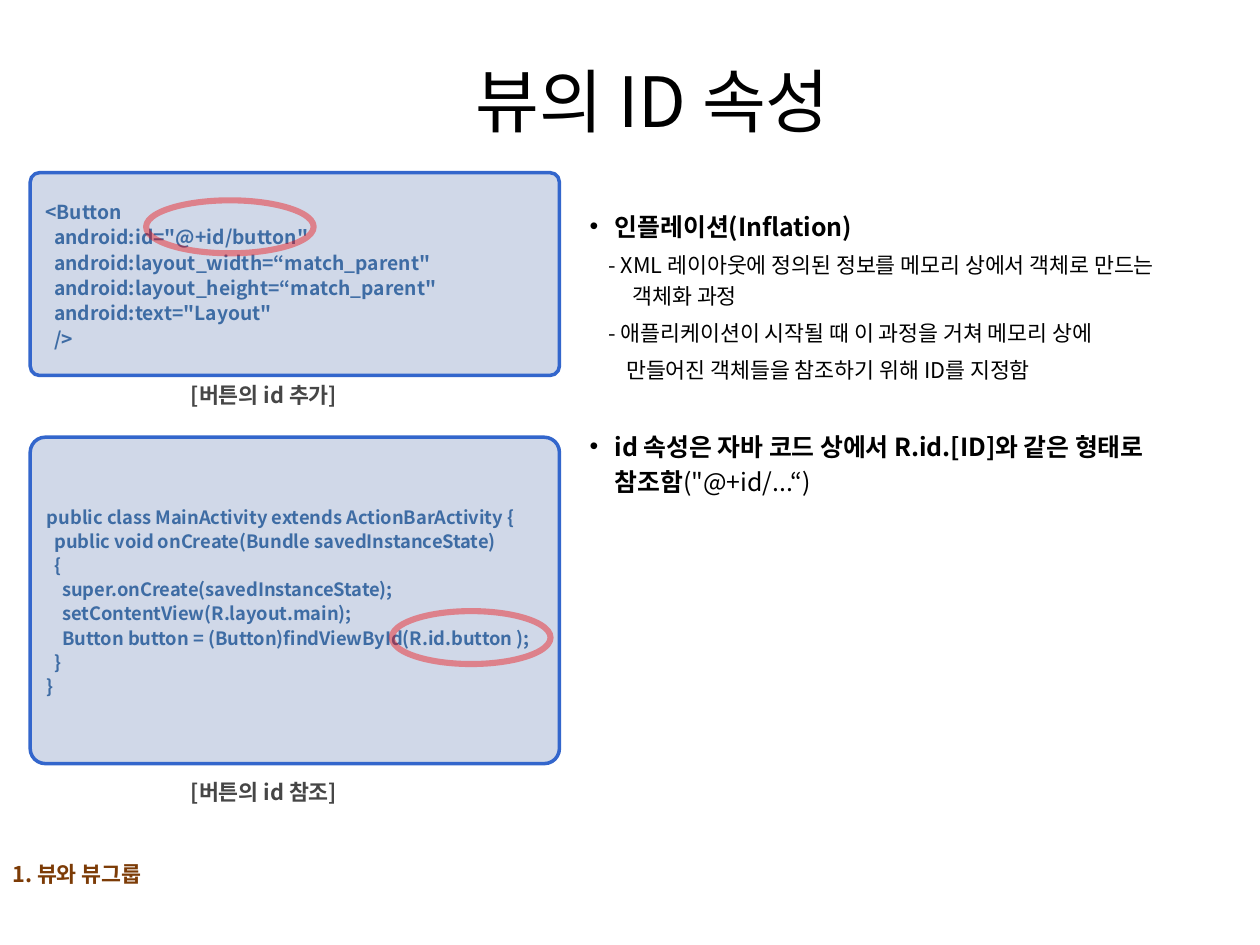
from lxml import etree
from pptx import Presentation
from pptx.dml.color import RGBColor
from pptx.enum.shapes import MSO_SHAPE
from pptx.enum.text import MSO_ANCHOR, MSO_AUTO_SIZE, PP_ALIGN
from pptx.oxml.ns import qn
from pptx.util import Inches, Pt

ROUNDED, OVAL = MSO_SHAPE.ROUNDED_RECTANGLE, MSO_SHAPE.OVAL
MIDDLE, TOP = MSO_ANCHOR.MIDDLE, MSO_ANCHOR.TOP
NO_FIT = MSO_AUTO_SIZE.NONE
LEFT, CENTER = PP_ALIGN.LEFT, PP_ALIGN.CENTER
FONT = "Noto Sans CJK KR"
COLORS = {
    "text": "000000",
    "panel": "D0D8E8",
    "border": "3366CC",
    "code": "3E6CA4",
    "ring": "F20000",
    "caption": "464646",
    "footer": "7C3B06",
}
LAYOUT_CODE = [
    (0, "<Button"),
    (1, 'android:id="@+id/button"'),
    (1, 'android:layout_width=“match_parent"'),
    (1, 'android:layout_height=“match_parent"'),
    (1, 'android:text="Layout"'),
    (1, "/>"),
]
JAVA_CODE = [
    (0, "public class MainActivity extends ActionBarActivity {"),
    (1, "public void onCreate(Bundle savedInstanceState)"),
    (1, "{"),
    (2, "super.onCreate(savedInstanceState);"),
    (2, "setContentView(R.layout.main);"),
    (2, "Button button = (Button)findViewById(R.id.button );"),
    (1, "}"),
    (0, "}"),
]
NOTES = [
    (True, 0.2, -0.2, 3.2, ["인플레이션(Inflation)"]),
    (False, 0.34, -0.19, 3.2,
     ["- XML 레이아웃에 정의된 정보를 메모리 상에서 객체로 만드는\v객체화 과정"]),
    (False, 0.29, -0.14, 3.2,
     ["- 애플리케이션이 시작될 때 이 과정을 거쳐 메모리 상에"]),
    (False, 0.29, 0, 3.2, ["만들어진 객체들을 참조하기 위해 ID를 지정함"]),
    (True, 0.2, -0.2, 24.5,
     ["id 속성은 자바 코드 상에서 R.id.[ID]와 같은 형태로\v참조함", '("@+id/...“)']),
]


def color(name):
    """Return a named colour."""
    return RGBColor.from_string(COLORS[name])


def style(span, size, ink, bold):
    """Format a run for Latin and Korean text."""
    font = span.font
    font.size, font.bold, font.name = Pt(size), bold, FONT
    font.color.rgb = color(ink)
    etree.SubElement(span._r.get_or_add_rPr(), qn("a:ea")).set("typeface", FONT)


def style_para(para, size, ink, bold):
    """Format every run of a paragraph."""
    for span in para.runs:
        style(span, size, ink, bold)


def indent(para, margin, first=0):
    """Set the left margin and first-line indent of a paragraph."""
    properties = para._p.get_or_add_pPr()
    properties.set("marL", str(Inches(margin)))
    properties.set("indent", str(Inches(first)))


def place(shape, box):
    """Move a shape to a box given in inches."""
    shape.left, shape.top, shape.width, shape.height = map(Inches, box)


def add_title(page, box):
    """Fill the title placeholder."""
    title = page.shapes.title
    place(title, box)
    frame = title.text_frame
    frame.text = "뷰의 ID 속성"
    frame.auto_size, frame.vertical_anchor = NO_FIT, MIDDLE
    para = frame.paragraphs[0]
    para.alignment = CENTER
    style_para(para, 39.6, "text", False)


def add_notes(page, box):
    """Fill the body placeholder with headings and details."""
    body = page.placeholders[1]
    place(body, box)
    frame = body.text_frame
    frame.text = "\n".join(parts[0] for *_, parts in NOTES)
    frame.auto_size, frame.vertical_anchor = NO_FIT, TOP
    for para, (heading, margin, first, gap, parts) in zip(frame.paragraphs, NOTES):
        para.line_spacing, para.space_before = 1.2, Pt(gap)
        indent(para, margin, first)
        style_para(para, 14.2 if heading else 12.4, "text", heading)
        if not heading:
            etree.SubElement(para._p.get_or_add_pPr(), qn("a:buNone"))
        for part in parts[1:]:
            span = para.add_run()
            span.text = part
            style(span, 14.2, "text", False)


def add_label(page, box, text, ink, align, spacing=1.0):
    """Add a bold line of text."""
    frame = page.shapes.add_textbox(*map(Inches, box)).text_frame
    frame.word_wrap = True
    frame.text = text
    para = frame.paragraphs[0]
    para.alignment, para.line_spacing = align, spacing
    style_para(para, 12.4, ink, True)


def add_ring(page, box):
    """Add a translucent ellipse outline."""
    ring = page.shapes.add_shape(OVAL, *map(Inches, box))
    ring.shadow.inherit = False
    ring.fill.background()
    ring.line.color.rgb = color("ring")
    ring.line.width = Pt(3.5)
    ink = ring.line._ln.find(".//" + qn("a:srgbClr"))
    etree.SubElement(ink, qn("a:alpha")).set("val", "40000")


def add_code(page, box, lines, size, step, ring, caption, caption_gap):
    """Add a code panel with its highlight ring and caption."""
    left, top, _, height = box
    panel = page.shapes.add_shape(ROUNDED, *map(Inches, box))
    panel.adjustments[0] = 0.046
    panel.shadow.inherit = False
    panel.fill.solid()
    panel.fill.fore_color.rgb = color("panel")
    panel.line.color.rgb = color("border")
    panel.line.width = Pt(2)
    frame = panel.text_frame
    frame.word_wrap, frame.vertical_anchor = True, MIDDLE
    frame.text = "\n".join(text for _, text in lines)
    for para, (level, _) in zip(frame.paragraphs, lines):
        para.alignment, para.line_spacing = LEFT, 1.1
        indent(para, level * step)
        style_para(para, size, "code", True)
    across, down, ring_width = ring
    add_ring(page, (left + across, top + down, ring_width, 0.42))
    add_label(page, (left + 1.05, top + height + caption_gap, 1.61, 0.31),
              caption, "caption", CENTER)


def main():
    """Build and save the slide."""
    deck = Presentation()
    deck.slide_width, deck.slide_height = Inches(10), Inches(7.5)
    page = deck.slides.add_slide(deck.slide_layouts[1])
    add_title(page, (0.81, 0.61, 8.74, 0.36))
    add_notes(page, (4.58, 1.58, 5.32, 4.97))
    add_code(page, (0.24, 1.37, 4.2, 1.61), LAYOUT_CODE, 11, 0.07,
             (0.92, 0.22, 1.33), "[버튼의 id 추가]", 0)
    add_code(page, (0.24, 3.47, 4.2, 2.59), JAVA_CODE, 10.5, 0.06,
             (2.87, 1.38, 1.26), "[버튼의 id 참조]", 0.07)
    add_label(page, (0, 6.68, 3.76, 0.42), "1. 뷰와 뷰그룹", "footer", LEFT, 1.5)
    deck.save("out.pptx")


main()
